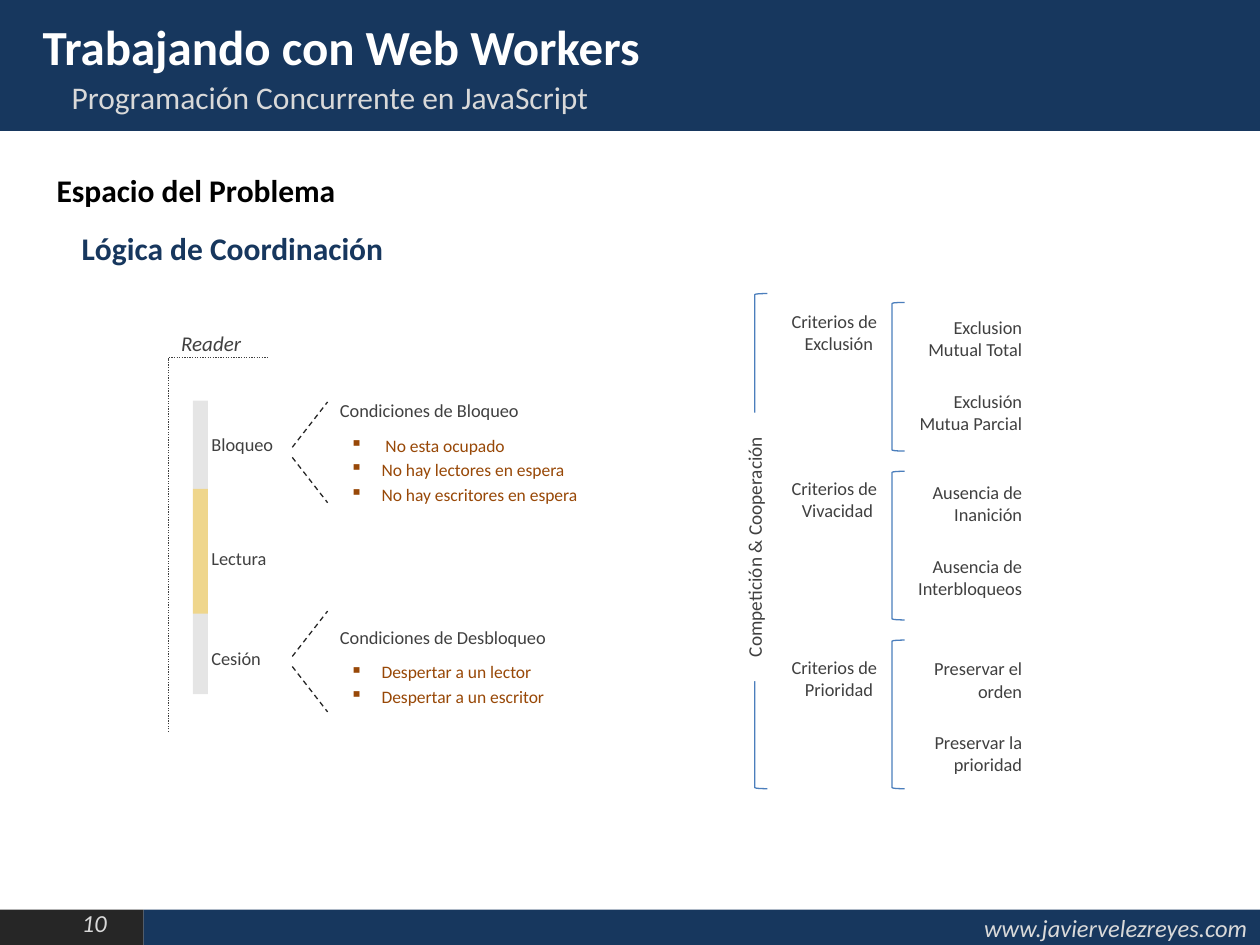
from lxml import etree
from pptx import Presentation
from pptx.dml.color import RGBColor
from pptx.enum.dml import MSO_LINE
from pptx.enum.shapes import MSO_CONNECTOR, MSO_SHAPE
from pptx.enum.text import MSO_ANCHOR, PP_ALIGN
from pptx.oxml.ns import qn
from pptx.util import Inches, Pt

LEFT, CENTER, RIGHT = PP_ALIGN.LEFT, PP_ALIGN.CENTER, PP_ALIGN.RIGHT
TOP, MIDDLE = MSO_ANCHOR.TOP, MSO_ANCHOR.MIDDLE
RECT, BRACKET = MSO_SHAPE.RECTANGLE, MSO_SHAPE.LEFT_BRACKET
DOT, DASH = MSO_LINE.ROUND_DOT, MSO_LINE.DASH

FONT = "Calibri"
WIDTH, HEIGHT = 10, 7.5
COLORS = {
    "navy": "17375E", "dark": "262626", "pale": "D9D9D9", "white": "FFFFFF",
    "black": "000000", "text": "404040", "brown": "984807", "amber": "FFC000",
    "blue": "4B7EBC",
}

# text, box, size, colour, bold
HEADINGS = [
    ("Trabajando con Web Workers", (0.24, 0.08, 9.41, 0.47), 28, "white", True),
    ("Programación Concurrente en JavaScript", (0.47, 0.57, 9.18, 0.39), 18, "pale", False),
    ("Espacio del Problema", (0.35, 1.31, 2.58, 0.39), 18, "black", True),
    ("Lógica de Coordinación", (0.55, 1.77, 3.51, 0.39), 18, "navy", True),
]
PAGE = "10 "
ADDRESS = "www.javiervelezreyes.com"

READER = "Reader"
PHASES = [("Bloqueo", 3.39), ("Lectura", 4.29), ("Cesión", 5.09)]
# heading, its top, middle of the fan of dashed lines, conditions
CONDITIONS = [
    ("Condiciones de Bloqueo", 3.12, 3.59,
     [" No esta ocupado", "No hay lectores en espera", "No hay escritores en espera"]),
    ("Condiciones de Desbloqueo", 4.92, 5.25,
     ["Despertar a un lector", "Despertar a un escritor"]),
]

COORDINATION = "Competición & Cooperación"
# criterion, its top, options, their top
CRITERIA = [
    ("Criterios de Exclusión ", 2.41, ["Exclusion Mutual Total", "Exclusión Mutua Parcial"], 2.46),
    ("Criterios de Vivacidad ", 3.74, ["Ausencia de Inanición", "Ausencia de Interbloqueos"], 3.77),
    ("Criterios de Prioridad ", 5.16, ["Preservar el orden", "Preservar la prioridad"], 5.17),
]
BRACKETS_TOP, BRACKET_HEIGHT, BRACKET_STEP = 2.4, 1.18, 1.34

FOOTER_TOP, FOOTER_HEIGHT, FOOTER_SPLIT = 7.22, 0.28, 1.14


def rgb(name):
    """Return the named colour."""
    return RGBColor.from_string(COLORS[name])


def write(shape, lines, size, color, align=LEFT, anchor=TOP, bold=False,
          italic=False, gap=None, bullet=None):
    """Fill a shape with one paragraph per line."""
    frame = shape.text_frame
    frame.word_wrap = True
    frame.vertical_anchor = anchor
    for index, line in enumerate(lines):
        paragraph = frame.paragraphs[0] if index == 0 else frame.add_paragraph()
        paragraph.text = line
        paragraph.alignment = align
        paragraph.space_before = Pt((gap or size * 0.2) if index else 0)
        font = paragraph.font
        font.name, font.size = FONT, Pt(size)
        font.bold, font.italic = bold, italic
        font.color.rgb = rgb(color)
        if bullet:
            props = paragraph._p.get_or_add_pPr()
            props.set("marL", str(Inches(0.25)))
            props.set("indent", str(-Inches(0.25)))
            mark = etree.Element(qn("a:buChar"), char=bullet)
            props.find(qn("a:defRPr")).addprevious(mark)


def add_text(slide, box, lines, size, color, **style):
    """Add a text box."""
    write(slide.shapes.add_textbox(*map(Inches, box)), lines, size, color, **style)


def add_block(slide, box, fill, opacity=None):
    """Add a plain rectangle, see-through when an opacity in percent is given."""
    block = slide.shapes.add_shape(RECT, *map(Inches, box))
    block.shadow.inherit = False
    block.fill.solid()
    block.fill.fore_color.rgb = rgb(fill)
    block.line.fill.background()
    if opacity:
        color = block._element.spPr.find(".//" + qn("a:srgbClr"))
        etree.SubElement(color, qn("a:alpha"), val=str(opacity * 1000))
    return block


def add_bracket(slide, box):
    """Add a left bracket."""
    bracket = slide.shapes.add_shape(BRACKET, *map(Inches, box))
    bracket.shadow.inherit = False
    bracket.fill.background()
    bracket.line.color.rgb = rgb("blue")
    bracket.line.width = Pt(0.75)


def add_line(slide, start, end, color, dash):
    """Add a thin broken line."""
    line = slide.shapes.add_connector(
        MSO_CONNECTOR.STRAIGHT, *map(Inches, start + end))
    line.line.color.rgb = rgb(color)
    line.line.width = Pt(0.75)
    line.line.dash_style = dash
    etree.SubElement(line._element.spPr, qn("a:effectLst"))


def draw_frame(slide):
    """Draw the header and footer bands and the headings."""
    add_block(slide, (0, FOOTER_TOP, FOOTER_SPLIT, FOOTER_HEIGHT), "dark")
    footer = add_block(
        slide, (FOOTER_SPLIT, FOOTER_TOP, WIDTH - FOOTER_SPLIT, FOOTER_HEIGHT), "navy")
    write(footer, [ADDRESS], 14, "pale", align=RIGHT, anchor=MIDDLE, italic=True)
    add_block(slide, (0, 0, WIDTH, 1.04), "navy")
    add_text(slide, (0.12, 7.16, 0.87, 0.34), [PAGE], 14, "pale", align=RIGHT, italic=True)
    for heading, box, size, color, bold in HEADINGS:
        add_text(slide, box, [heading], size, color, bold=bold)


def draw_reader(slide):
    """Draw the reader's timeline with the conditions of its phases."""
    corner = (1.34, 2.84)
    add_line(slide, corner, (2.13, 2.84), "text", DOT)
    add_line(slide, (1.34, 5.81), corner, "text", DOT)
    add_text(slide, (1.34, 2.57, 0.83, 0.32), [READER], 12, "text", italic=True)
    add_block(slide, (1.53, 3.18, 0.12, 2.33), "black", opacity=10)
    add_block(slide, (1.53, 3.88, 0.12, 0.99), "amber", opacity=39)
    for phase, top in PHASES:
        add_text(slide, (1.58, top, 0.89, 0.29), [phase], 10.5, "text")
    for heading, top, middle, conditions in CONDITIONS:
        for side in (-1, 1):
            add_line(slide, (2.32, middle + side * 0.04), (2.6, middle + side * 0.4),
                     "dark", DASH)
        add_text(slide, (2.6, top, 1.84, 0.29), [heading], 10.5, "text")
        add_text(slide, (2.68, top + 0.28, 2.09, 0.29), conditions, 10, "brown", bullet="▪")


def draw_criteria(slide):
    """Draw the bracketed tree of coordination criteria."""
    add_bracket(slide, (5.99, 2.33, 0.1, 3.93))
    label = add_block(slide, (4.9, 4.22, 2.13, 0.24), "white")
    label.rotation = 270
    write(label, [COORDINATION], 11, "text", align=CENTER)
    for row, (criterion, top, options, options_top) in enumerate(CRITERIA):
        add_bracket(slide, (7.08, BRACKETS_TOP + row * BRACKET_STEP, 0.1, BRACKET_HEIGHT))
        add_text(slide, (6.1, top, 0.96, 0.29), [criterion], 10.5, "text", align=RIGHT)
        add_text(slide, (7.09, options_top, 1.12, 1.09), options, 10.5, "text",
                 align=RIGHT, gap=17)


deck = Presentation()
deck.slide_width, deck.slide_height = Inches(WIDTH), Inches(HEIGHT)
workers_slide = deck.slides.add_slide(deck.slide_layouts[6])
draw_frame(workers_slide)
draw_reader(workers_slide)
draw_criteria(workers_slide)
deck.save("out.pptx")
